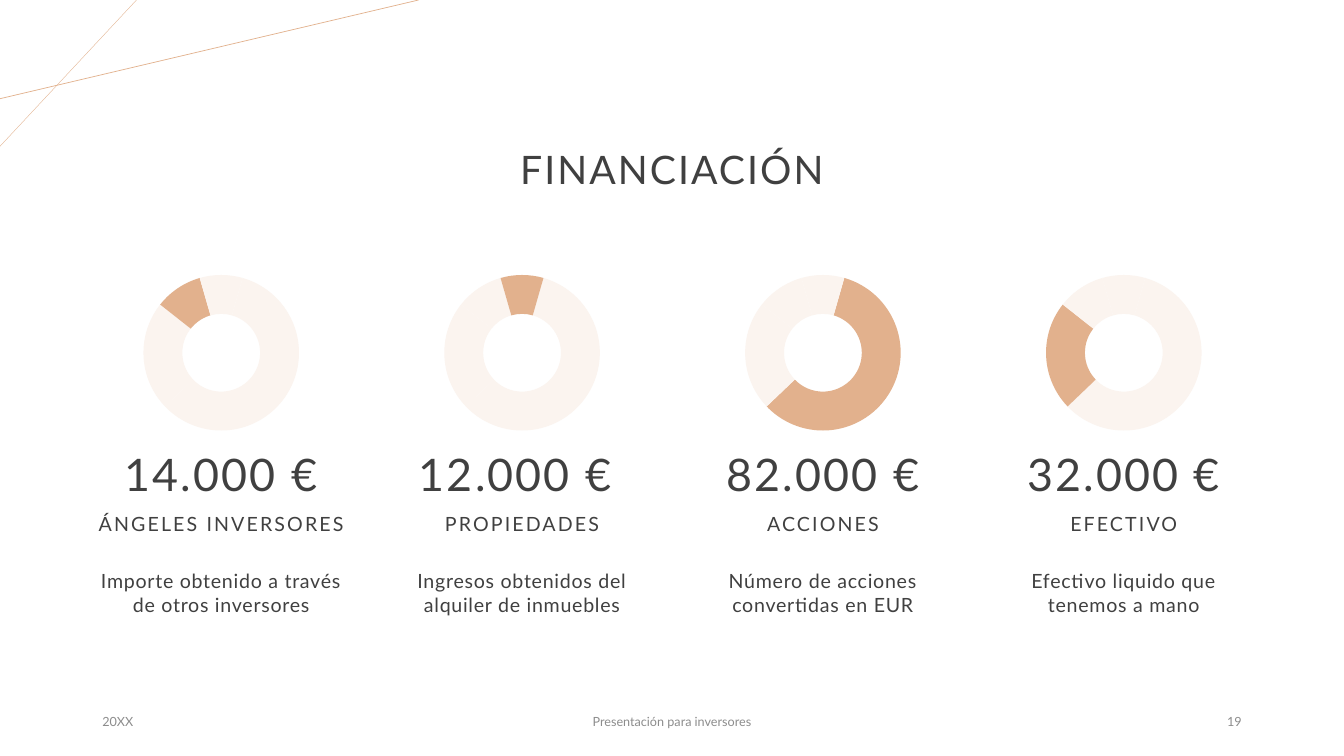
from lxml.etree import SubElement
from pptx import Presentation
from pptx.chart.data import CategoryChartData
from pptx.dml.color import RGBColor
from pptx.enum.chart import XL_CHART_TYPE
from pptx.enum.shapes import MSO_CONNECTOR
from pptx.enum.text import MSO_ANCHOR, PP_ALIGN
from pptx.oxml.ns import qn
from pptx.util import Pt

FONT = "Lato"
INK, MUTED, ACCENT, PALE = "404040", "8C8C8C", "E2B18D", "FBF4EF"
TITLE = "FINANCIACIÓN"
SHARES = [59, 23, 10, 9]
SOURCES = [
    ("14.000 €", "ÁNGELES INVERSORES", "Importe obtenido a través de otros inversores", 2),
    ("12.000 € ", "PROPIEDADES", "Ingresos obtenidos del alquiler de inmuebles", 3),
    ("82.000 €", "ACCIONES", "Número de acciones convertidas en EUR", 0),
    ("32.000 €", "EFECTIVO", "Efectivo liquido que tenemos a mano", 1),
]
FOOTERS = [
    ("20XX", 66, 216, PP_ALIGN.LEFT),
    ("Presentación para inversores", 318, 324, PP_ALIGN.CENTER),
    ("19", 678, 216, PP_ALIGN.RIGHT),
]
CORNER_LINES = [(97.5, 104.5, 0.25), (299, 70.5, 0.5)]
COLUMN_LEFT, COLUMN_STEP, COLUMN_WIDTH = 66.24, 214.9, 183.6
CHART_TOP, CHART_WIDTH, CHART_HEIGHT = 186.5, 146, 131


def color(value):
    return RGBColor.from_string(value)


def write(box, text, size, ink, align, anchor, tracking=0, line_spacing=1.0):
    frame = box.text_frame
    frame.word_wrap = True
    frame.vertical_anchor = anchor
    para = frame.paragraphs[0]
    span = para.add_run()
    span.text = text
    para.alignment = align
    para.line_spacing = line_spacing
    para.font.name = FONT
    para.font.size = Pt(size)
    para.font.color.rgb = color(ink)
    if tracking:
        span._r.get_or_add_rPr().set("spc", str(int(tracking * 100)))


def add_text(page, left, top, width, height, side_inset, *style):
    box = page.shapes.add_textbox(Pt(left), Pt(top), Pt(width), Pt(height))
    box.text_frame.margin_left = box.text_frame.margin_right = Pt(side_inset)
    write(box, *style)


def add_corner_line(page, across, down, weight):
    line = page.shapes.add_connector(MSO_CONNECTOR.STRAIGHT, Pt(across), 0, 0, Pt(down))
    line.line.color.rgb = color(ACCENT)
    line.line.width = Pt(weight)
    SubElement(line._element.spPr, qn("a:effectLst"))


def add_ring(page, left, highlighted):
    data = CategoryChartData()
    data.categories = [str(number + 1) for number in range(len(SHARES))]
    data.add_series("Series 1", SHARES)
    chart = page.shapes.add_chart(
        XL_CHART_TYPE.DOUGHNUT, Pt(left), Pt(CHART_TOP), Pt(CHART_WIDTH), Pt(CHART_HEIGHT), data
    ).chart
    chart.has_legend = False
    chart.has_title = False
    chart.font.name = FONT
    chart.font.size = Pt(10)
    chart.font.color.rgb = color("000000")
    plot = chart.plots[0]
    plot.vary_by_categories = True
    for index in range(len(SHARES)):
        fill = plot.series[0].points[index].format.fill
        fill.solid()
        fill.fore_color.rgb = color(ACCENT if index == highlighted else PALE)
    ring = chart._chartSpace.find(".//" + qn("c:doughnutChart"))
    for tag, value in (("c:firstSliceAng", "16"), ("c:holeSize", "80")):
        ring.find(qn(tag)).set("val", value)


def main():
    deck = Presentation()
    deck.slide_width, deck.slide_height = Pt(960), Pt(540)
    page = deck.slides.add_slide(deck.slide_layouts[5])

    for corner_line in CORNER_LINES:
        add_corner_line(page, *corner_line)

    title = page.shapes.title
    title.left, title.top, title.width, title.height = Pt(148.5), Pt(70.5), Pt(663), Pt(104.5)
    write(title, TITLE, 28, INK, PP_ALIGN.CENTER, MSO_ANCHOR.MIDDLE, 1.5, 0.9)

    for index, (amount, name, detail, highlighted) in enumerate(SOURCES):
        left = COLUMN_LEFT + index * COLUMN_STEP
        add_ring(page, left + (COLUMN_WIDTH - CHART_WIDTH) / 2, highlighted)
        for text, top, height, size, anchor, tracking, spacing in (
            (amount, 298, 63.5, 32, MSO_ANCHOR.BOTTOM, 1.5, 0.9),
            (name, 351.5, 34.5, 14, MSO_ANCHOR.BOTTOM, 1.5, 0.9),
            (detail, 403, 67, 14, MSO_ANCHOR.TOP, 0.5, 1.0),
        ):
            add_text(page, left, top, COLUMN_WIDTH, height, 0,
                     text, size, INK, PP_ALIGN.CENTER, anchor, tracking, spacing)

    for text, left, width, align in FOOTERS:
        add_text(page, left, 500.5, width, 29, 7.2, text, 9, MUTED, align, MSO_ANCHOR.MIDDLE)

    deck.save("out.pptx")


if __name__ == "__main__":
    main()
